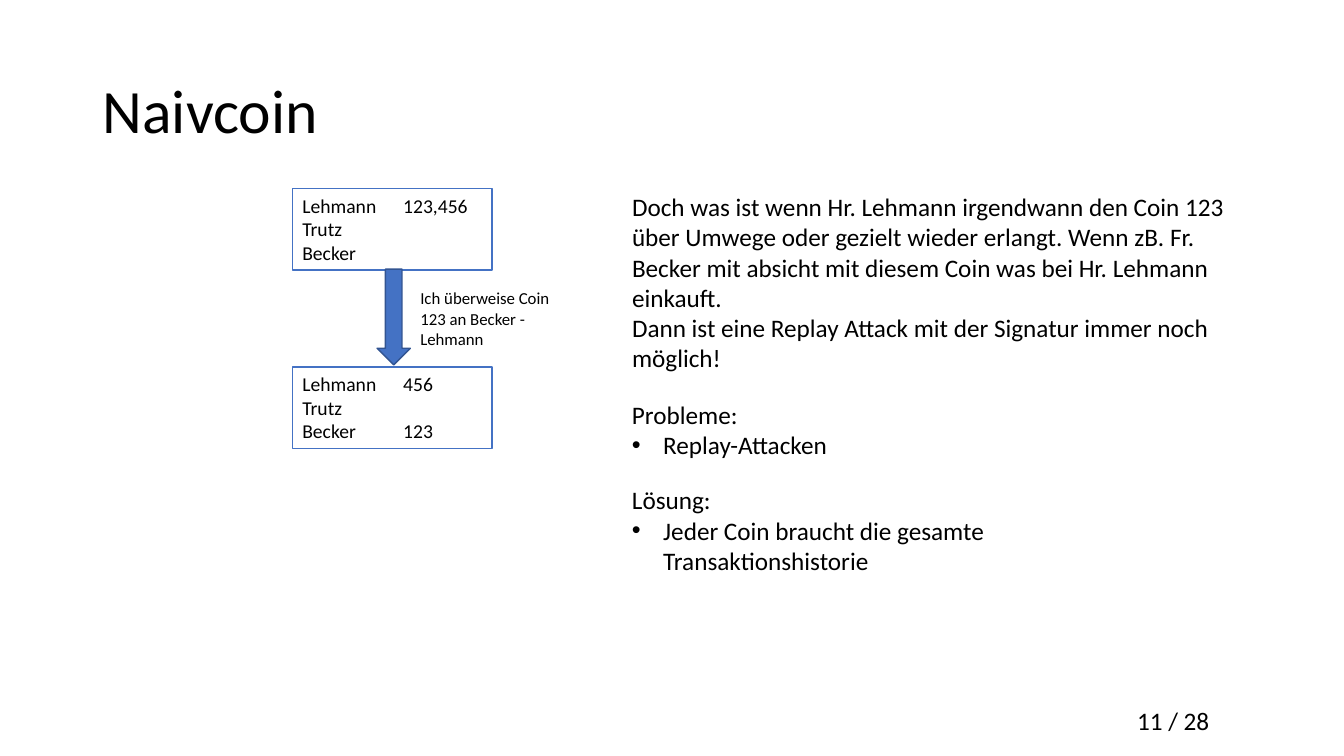
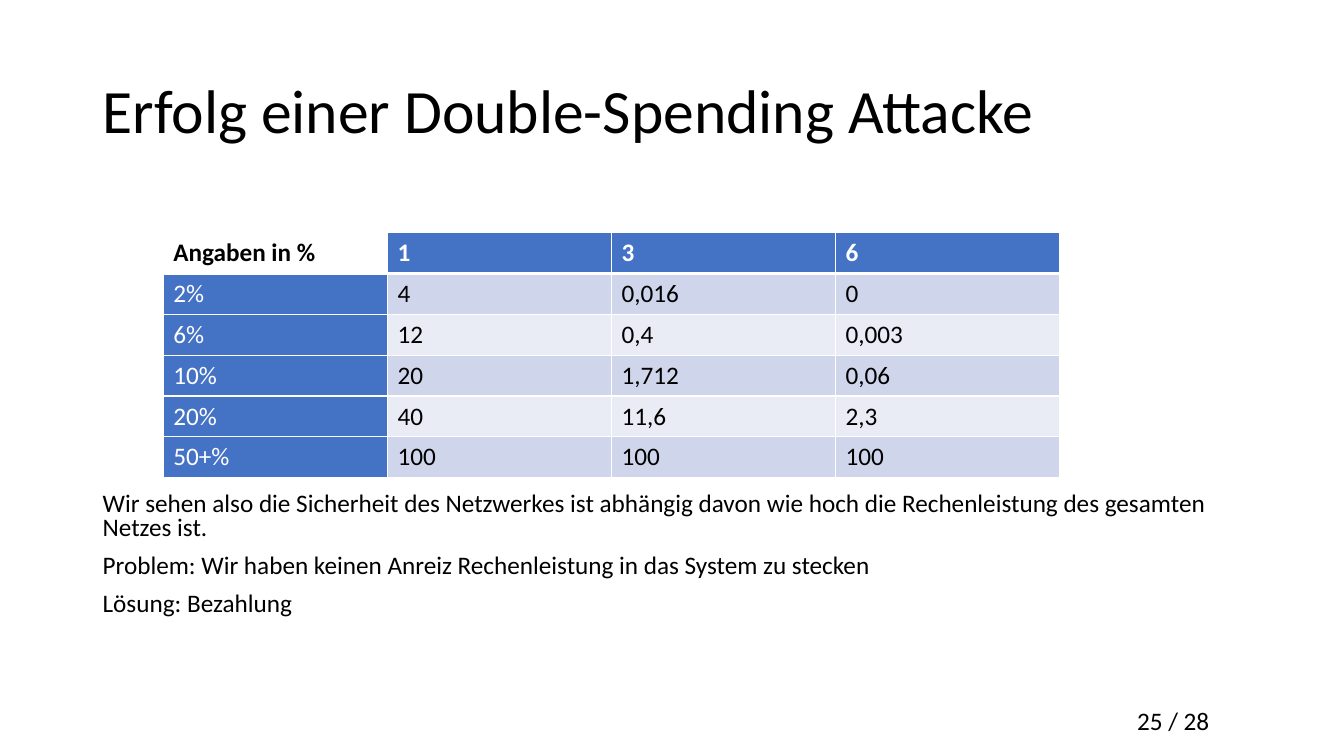
from lxml.etree import SubElement as Sub
from pptx import Presentation as Deck
from pptx.dml.color import RGBColor as Rgb
from pptx.enum.shapes import MSO_SHAPE as Shape
from pptx.enum.text import MSO_ANCHOR as Anchor
from pptx.oxml.ns import qn
from pptx.util import Inches, Pt

FONT = "Calibri"
BLACK, WHITE, BLUE, NAVY = "000000", "FFFFFF", "4472C4", "325491"
BANDS = "CFD5EA", "E9EBF5"
TOTAL = 28


def hue(code):
    return Rgb.from_string(code)


def write(frame, lines, size=18, color=BLACK, bold=False, lead=None, gap=0, dots=()):
    frame.word_wrap = True
    for i, line in enumerate(lines):
        para = frame.paragraphs[0] if i == 0 else frame.add_paragraph()
        para.space_before = Pt(gap)
        if lead:
            para.line_spacing = lead
        if i in dots:
            props = para._p.get_or_add_pPr()
            props.set("marL", str(Inches(0.31)))
            props.set("indent", str(-Inches(0.31)))
            Sub(props, qn("a:buFont"), typeface="Arial")
            Sub(props, qn("a:buChar"), char="•")
        run = para.add_run()
        run.text = line
        font = run.font
        font.name, font.size, font.bold = FONT, Pt(size), bold
        font.color.rgb = hue(color)


def edge(cell, side, width):
    line = Sub(cell._tc.get_or_add_tcPr(), qn("a:ln" + side), w=str(Pt(width)))
    Sub(Sub(line, qn("a:solidFill")), qn("a:srgbClr"), val=WHITE)


class Page:
    """Adds styled elements to the current slide of a deck."""

    def __init__(self):
        self.deck = Deck()
        self.deck.slide_width = Inches(13.33)
        self.deck.slide_height = Inches(7.5)

    def start(self, title, number):
        self.slide = self.deck.slides.add_slide(self.deck.slide_layouts[6])
        self.text((0.92, 0.4, 11.5, 1.45), [title], Anchor.MIDDLE, size=44, lead=0.9)
        self.text((11.18, 6.95, 1.24, 0.4), [f"{number} / {TOTAL}"])

    def text(self, box, lines, anchor=Anchor.TOP, **style):
        frame = self.slide.shapes.add_textbox(*map(Inches, box)).text_frame
        frame.vertical_anchor = anchor
        write(frame, lines, **style)

    def shape(self, kind, box, fill=WHITE, line=None):
        form = self.slide.shapes.add_shape(kind, *map(Inches, box))
        form.shadow.inherit = False
        form.fill.solid()
        form.fill.fore_color.rgb = hue(fill)
        if line:
            form.line.color.rgb = hue(line)
            form.line.width = Pt(1)
        else:
            form.line.fill.background()
        return form

    def ledger(self, top, lines):
        self.panel((2.9, top, 1.98, 0.81), lines, 14, BLUE)

    def panel(self, box, lines, size, line=None):
        frame = self.shape(Shape.RECTANGLE, box, line=line).text_frame
        frame.vertical_anchor = Anchor.TOP
        write(frame, lines, size=size)
        for para in frame.paragraphs:
            para.alignment = 1

    def table(self, box, rows):
        grid = self.slide.shapes.add_table(
            len(rows), len(rows[0]), *map(Inches, box)).table
        grid.first_row = grid.horz_banding = False
        for r, row in enumerate(rows):
            for c, word in enumerate(row):
                self.cell(grid.cell(r, c), word, r, c)

    def cell(self, cell, word, r, c):
        edge(cell, "L", 1)
        edge(cell, "R", 1)
        if r == 0:
            edge(cell, "T", 1)
        edge(cell, "B", 1 if r else 3)
        if r and c:
            fill, color = BANDS[(r - 1) % 2], BLACK
        elif r or c:
            fill, color = BLUE, WHITE
        else:
            fill, color = WHITE, BLACK
        cell.fill.solid()
        cell.fill.fore_color.rgb = hue(fill)
        write(cell.text_frame, [word], color=color, bold=r == 0)


def main():
    page = Page()
    page.start("Naivcoin", 11)
    page.text((6.17, 1.85, 6.49, 1.92), [
        "Doch was ist wenn Hr. Lehmann irgendwann den Coin 123 über Umwege oder "
        "gezielt wieder erlangt. Wenn zB. Fr. Becker mit absicht mit diesem Coin "
        "was bei Hr. Lehmann einkauft.",
        "Dann ist eine Replay Attack mit der Signatur immer noch möglich!"])
    page.text((6.17, 3.91, 5.17, 0.71), ["Probleme:", "Replay-Attacken"], dots=[1])
    page.text((6.17, 4.76, 5.17, 1.01), [
        "Lösung:", "Jeder Coin braucht die gesamte Transaktionshistorie"], dots=[1])
    page.panel((4.07, 2.81, 1.62, 0.71),
               ["Ich überweise Coin 123 an Becker - Lehmann"], 12)
    page.ledger(1.87, ["Lehmann\t123,456", "Trutz", "Becker"])
    page.shape(Shape.DOWN_ARROW, (3.74, 2.67, 0.33, 0.95), BLUE, NAVY)
    page.ledger(3.64, ["Lehmann\t456", "Trutz", "Becker\t123"])

    page.start("Erfolg einer Double-Spending Attacke", 25)
    page.table((1.62, 2.31, 8.89, 2.43), [
        ["Angaben in %", "1", "3", "6"],
        ["2%", "4", "0,016", "0"],
        ["6%", "12", "0,4", "0,003"],
        ["10%", "20", "1,712", "0,06"],
        ["20%", "40", "11,6", "2,3"],
        ["50+%", "100", "100", "100"]])
    page.text((0.92, 4.84, 11.5, 1.45), [
        "Wir sehen also die Sicherheit des Netzwerkes ist abhängig davon wie hoch "
        "die Rechenleistung des gesamten Netzes ist.",
        "Problem: Wir haben keinen Anreiz Rechenleistung in das System zu stecken",
        "Lösung: Bezahlung"], lead=0.8, gap=10)
    page.deck.save("out.pptx")


if __name__ == "__main__":
    main()
